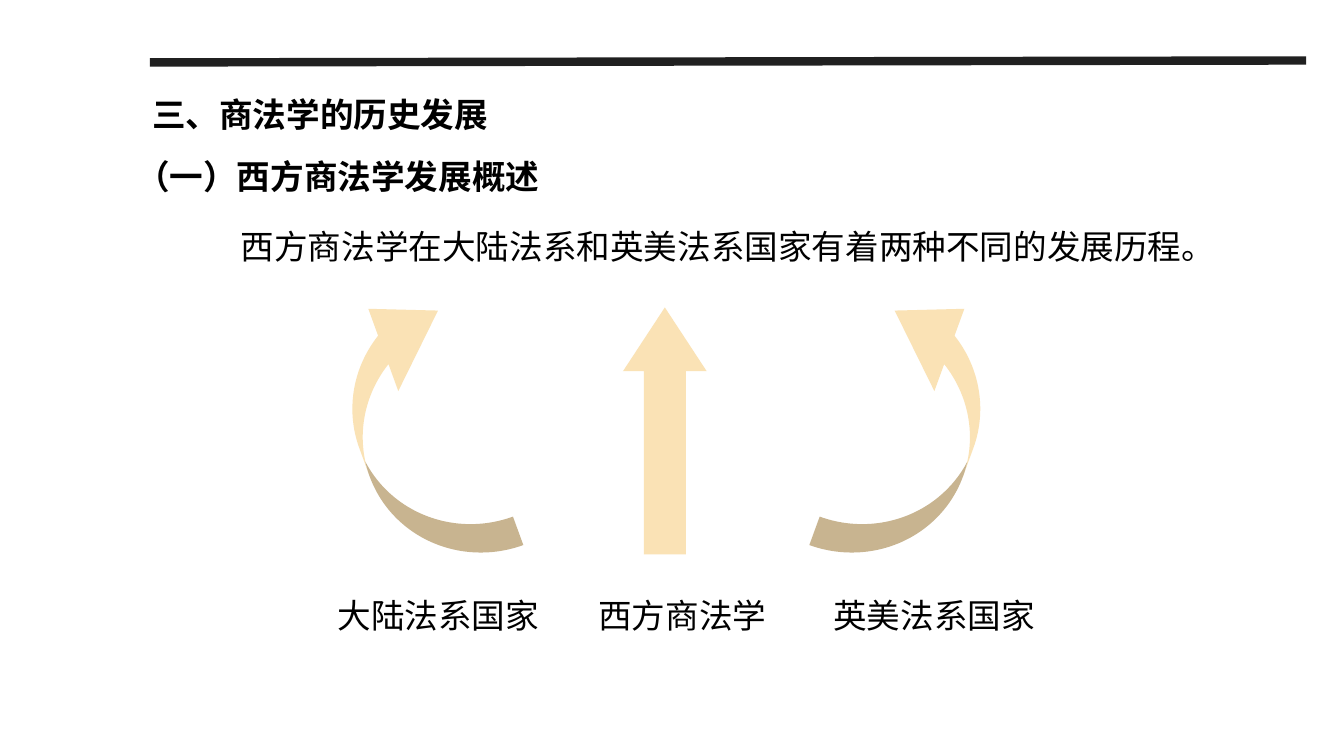
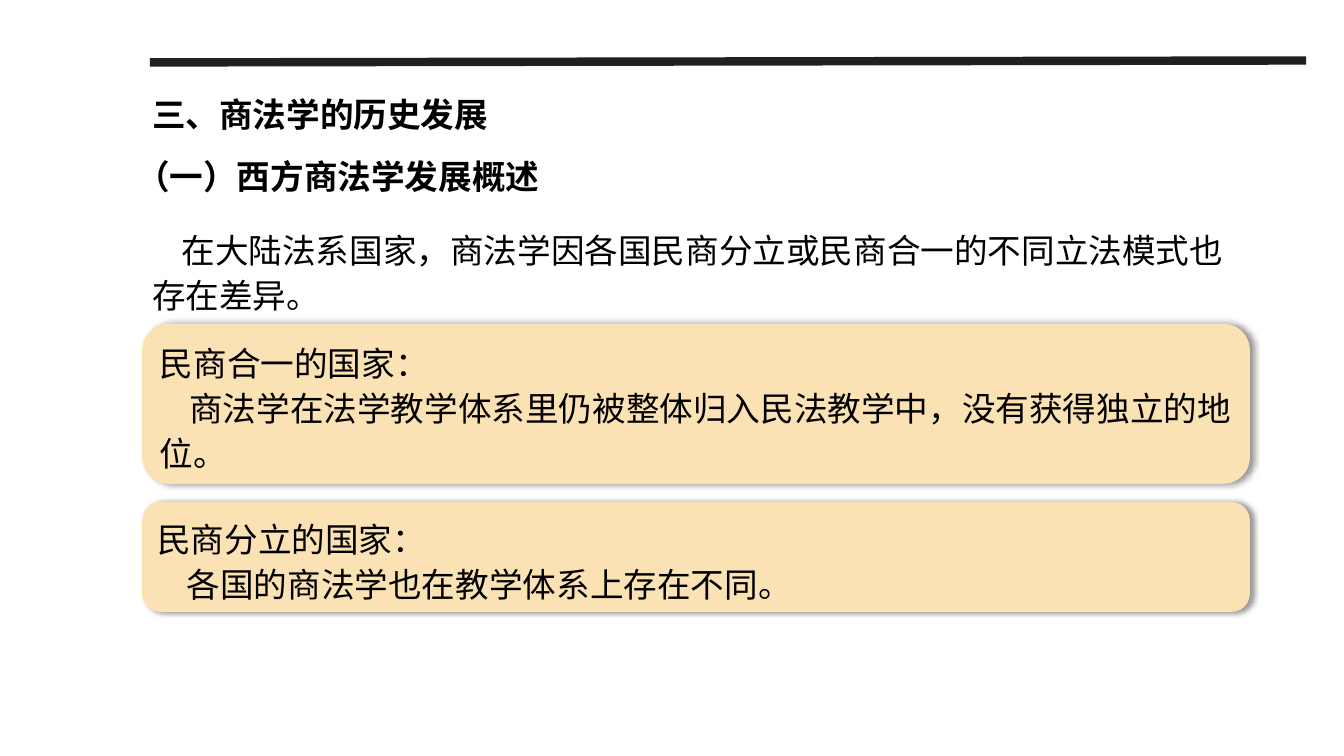
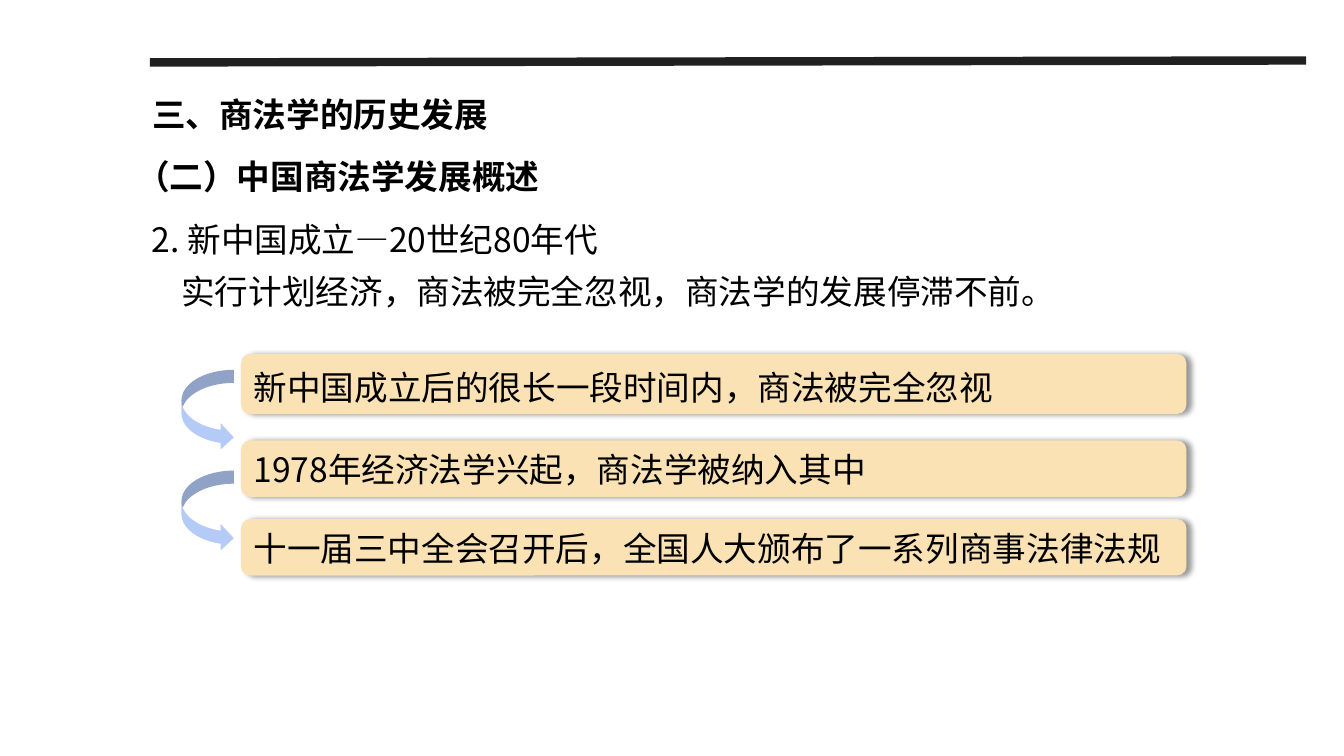
from lxml import etree
from pptx import Presentation
from pptx.dml.color import RGBColor
from pptx.enum.shapes import MSO_CONNECTOR, MSO_SHAPE
from pptx.enum.text import MSO_ANCHOR, MSO_AUTO_SIZE, PP_ALIGN
from pptx.oxml.ns import qn
from pptx.util import Pt

LINE = MSO_CONNECTOR.STRAIGHT
ROUND = MSO_SHAPE.ROUNDED_RECTANGLE
CURVE = MSO_SHAPE.CURVED_RIGHT_ARROW
UP = MSO_SHAPE.UP_ARROW
TOP, MIDDLE = MSO_ANCHOR.TOP, MSO_ANCHOR.MIDDLE
LEFT, CENTER = PP_ALIGN.LEFT, PP_ALIGN.CENTER
NO_FIT = MSO_AUTO_SIZE.NONE

COLORS = {"ink": "000000", "rule": "202020", "sand": "FAE2B5", "blue": "B5CBF7"}
FACE = "Noto Sans CJK SC"
SIZE = 24
EDGE = 101.5
INDENT = 21
PITCH = 31
TITLE = "三、商法学的历史发展"


def color(name):
    return RGBColor.from_string(COLORS[name])


def write(shape, lines, bold=False, align=LEFT, pitch=PITCH, gap=0,
          anchor=TOP, wrap=True, inset=3.6):
    """Fill a shape with text; every line after an indent mark is (text, True)."""
    frame = shape.text_frame
    frame_form = {"word_wrap": wrap, "auto_size": NO_FIT,
                  "vertical_anchor": anchor, "margin_top": Pt(inset)}
    for key, value in frame_form.items():
        setattr(frame, key, value)
    for i, (text, indent) in enumerate(lines):
        para = frame.paragraphs[0] if i == 0 else frame.add_paragraph()
        para_form = {"alignment": align, "line_spacing": Pt(pitch),
                     "space_before": Pt(gap if i else 0)}
        for key, value in para_form.items():
            setattr(para, key, value)
        if indent:
            props = para._p.get_or_add_pPr()
            props.set("marL", "0")
            props.set("indent", str(Pt(INDENT)))
        run = para.add_run()
        run.text = text
        for key, value in {"name": FACE, "size": Pt(SIZE), "bold": bold}.items():
            setattr(run.font, key, value)
        run.font.color.rgb = color("ink")
        east = etree.SubElement(run._r.get_or_add_rPr(), qn("a:ea"))
        east.set("typeface", FACE)


def label(slide, box, lines, **form):
    write(slide.shapes.add_textbox(*map(Pt, box)), lines, **form)


def solid(slide, kind, box, fill):
    shape = slide.shapes.add_shape(kind, *map(Pt, box))
    shape.shadow.inherit = False
    shape.fill.solid()
    shape.fill.fore_color.rgb = color(fill)
    shape.line.fill.background()
    return shape


def panel(slide, box, lines, **form):
    """Rounded sand panel with a soft shadow to its right."""
    shape = solid(slide, ROUND, box, "sand")
    effects = shape._element.spPr.find(qn("a:effectLst"))
    shadow = etree.SubElement(effects, qn("a:outerShdw"), blurRad=str(Pt(4)),
                              dist=str(Pt(3)), dir="0", algn="l", rotWithShape="0")
    tint = etree.SubElement(shadow, qn("a:srgbClr"), val=COLORS["ink"])
    etree.SubElement(tint, qn("a:alpha"), val="40000")
    write(shape, lines, **form)


def arrow(slide, kind, box, fill, adjust=(), turn=0, flip=False):
    shape = solid(slide, kind, box, fill)
    for i, value in enumerate(adjust):
        shape.adjustments[i] = value
    shape.rotation = turn
    if flip:
        shape._element.spPr.xfrm.set("flipH", "1")


def start(deck, topic):
    """New slide with the rule, title and subtitle that all slides share."""
    slide = deck.slides.add_slide(deck.slide_layouts[5])
    rule = slide.shapes.add_connector(LINE, Pt(107), Pt(44.6), Pt(933), Pt(43.2))
    rule.line.color.rgb = color("rule")
    rule.line.width = Pt(6)
    etree.SubElement(rule._element.spPr, qn("a:effectLst"))
    title = slide.shapes.title
    place = {"left": EDGE, "top": 55, "width": 433.5, "height": 50.4}
    for key, value in place.items():
        setattr(title, key, Pt(value))
    write(title, [(TITLE, False)], bold=True, anchor=MIDDLE)
    label(slide, (90.2, 105.8, 720, 36), [(topic, False)], bold=True)
    return slide


def paths(deck):
    slide = start(deck, "（一）西方商法学发展概述")
    label(slide, (164.9, 155.5, 710.6, 36),
          [("西方商法学在大陆法系和英美法系国家有着两种不同的发展历程。", False)],
          wrap=False)
    # Arrows
    bend = (0.25, 0.724, 0.536)
    for left, turn, flip in ((611.3, 200, False), (254.2, 160, True)):
        arrow(slide, CURVE, (left, 200.9, 86.4, 209.5), "sand", bend, turn, flip)
    arrow(slide, UP, (445, 219.6, 59.8, 176.4), "sand", (0.5, 0.762))
    # Captions
    for left, width, text, align in ((203, 220.3, "大陆法系国家", CENTER),
                                     (396.7, 181.4, "西方商法学", CENTER),
                                     (588.2, 168.5, "英美法系国家", LEFT)):
        label(slide, (left, 419, width, 36), [(text, False)], align=align)


def modes(deck):
    slide = start(deck, "（一）西方商法学发展概述")
    label(slide, (EDGE, 157.5, 791.3, 74),
          [("在大陆法系国家，商法学因各国民商分立或民商合一的不同立法模式也存在差异。", True)],
          pitch=32)
    # Panels
    for top, height, head, text in (
            (358.6, 78.5, "民商分立的国家：", "各国的商法学也在教学体系上存在不同。"),
            (231.1, 114.5, "民商合一的国家：",
             "商法学在法学教学体系里仍被整体归入民法教学中，没有获得独立的地位。")):
        panel(slide, (EDGE, top, 791.3, height), [(head, False), (text, True)],
              pitch=32, inset=5)


def china(deck):
    slide = start(deck, "（二）中国商法学发展概述")
    label(slide, (EDGE, 154.8, 795, 80),
          [("2. 新中国成立—20世纪80年代", False),
           ("实行计划经济，商法被完全忽视，商法学的发展停滞不前。", True)],
          pitch=27, gap=10)
    # Stages
    for top, height, text in (
            (252.7, 43.2, "新中国成立后的很长一段时间内，商法被完全忽视"),
            (314.6, 40.3, "1978年经济法学兴起，商法学被纳入其中"),
            (370.8, 40.3, "十一届三中全会召开后，全国人大颁布了一系列商事法律法规")):
        panel(slide, (172.1, top, 675.4, height), [(text, False)],
              inset=height - 38.2)
    # Links between stages
    for i in range(2):
        arrow(slide, CURVE, (129.6, 264.2 + 72 * i, 37.4, 57.6), "blue")


def main():
    deck = Presentation()
    deck.slide_width, deck.slide_height = Pt(960), Pt(540)
    for build in (paths, modes, china):
        build(deck)
    deck.save("out.pptx")


if __name__ == "__main__":
    main()
